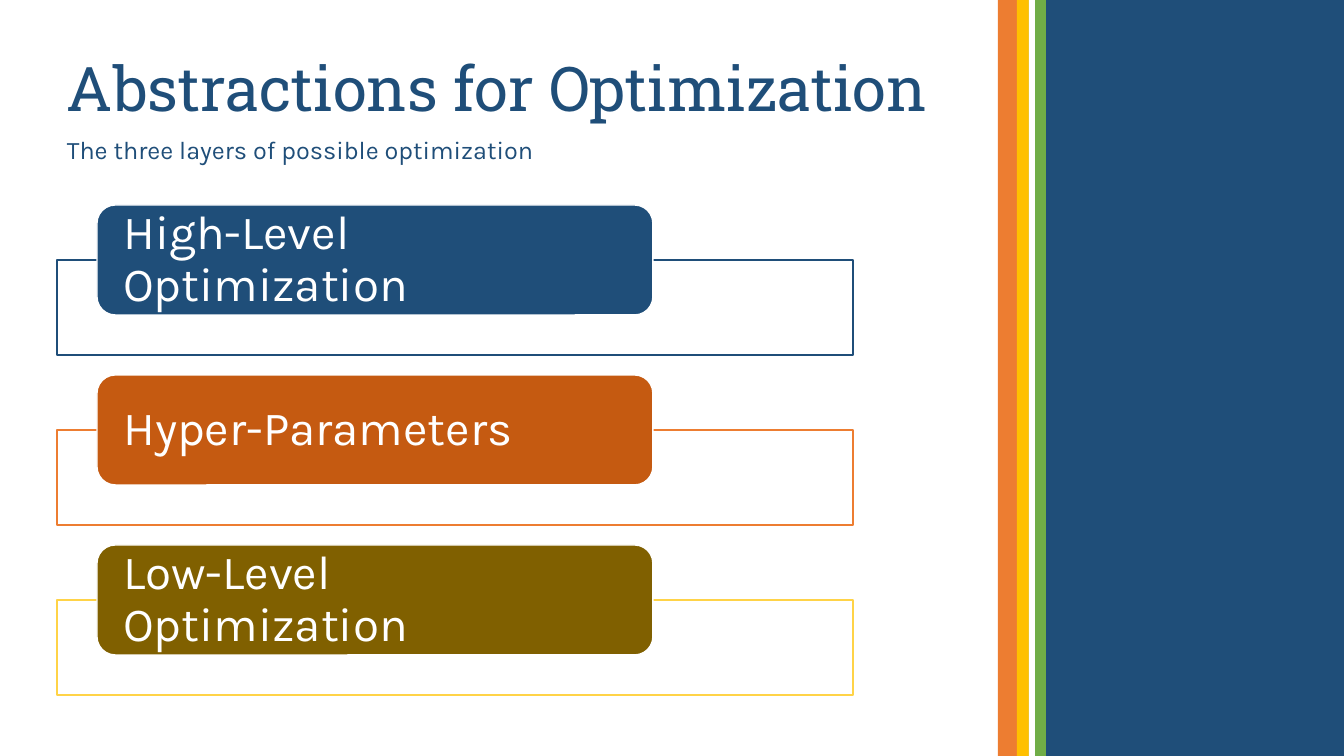
from pptx import Presentation, util as u
from pptx.dml.color import RGBColor
from pptx.enum import shapes, text

WHITE = RGBColor(0xFF, 0xFF, 0xFF)
NAVY = RGBColor(0x1F, 0x4E, 0x79)
ORANGE = RGBColor(0xED, 0x7D, 0x31)
RUST = RGBColor(0xC5, 0x5A, 0x11)
GOLD = RGBColor(0xFF, 0xC0, 0x00)
YELLOW = RGBColor(0xFF, 0xD3, 0x47)
OLIVE = RGBColor(0x80, 0x60, 0x00)
GREEN = RGBColor(0x70, 0xAD, 0x47)

WIDTH, HEIGHT = 1344, 756
SCALE = u.Inches(7.5) / HEIGHT


def write(box, words, font="Karla", size=18, color=NAVY,
          anchor=text.MSO_ANCHOR.MIDDLE, insets=(10, 0, 10, 5)):
    frame = box.text_frame
    frame.word_wrap = True
    frame.vertical_anchor = anchor
    (frame.margin_left, frame.margin_top,
     frame.margin_right, frame.margin_bottom) = [round(n * SCALE) for n in insets]
    para = frame.paragraphs[0]
    para.alignment = text.PP_ALIGN.LEFT
    para.line_spacing = 0.9
    span = para.add_run()
    span.text = words
    span.font.name = font
    span.font.size = u.Pt(size)
    span.font.color.rgb = color


def add_block(page, kind, area, fill, line=None):
    block = page.shapes.add_shape(kind, *[round(n * SCALE) for n in area])
    block.shadow.inherit = False
    block.fill.solid()
    block.fill.fore_color.rgb = fill
    if line is None:
        block.line.fill.background()
    else:
        block.line.color.rgb = line
        block.line.width = u.Pt(1)
    return block


deck = Presentation()
deck.slide_width = round(WIDTH * SCALE)
deck.slide_height = round(HEIGHT * SCALE)
page = deck.slides.add_slide(deck.slide_layouts[6])

RECT = shapes.MSO_SHAPE.RECTANGLE
ROUNDED = shapes.MSO_SHAPE.ROUNDED_RECTANGLE

for left, width, color in [(1017, 327, NAVY), (998, 19, ORANGE), (1017, 13, GOLD),
                           (1029, 17, GREEN), (1029, 6, WHITE)]:
    add_block(page, RECT, (left, 0, width, HEIGHT), color)

title = page.shapes.add_textbox(*[round(n * SCALE) for n in (57, 12, 902, 118)])
write(title, "Abstractions for Optimization", font="Roboto Slab", size=44,
      anchor=text.MSO_ANCHOR.BOTTOM, insets=(10, 5, 10, 5))
subtitle = page.shapes.add_textbox(*[round(n * SCALE) for n in (57, 133, 901, 42)])
write(subtitle, "The three layers of possible optimization")

layers = [
    ("High-Level Optimization", NAVY, NAVY),
    ("Hyper-Parameters", RUST, ORANGE),
    ("Low-Level Optimization", OLIVE, YELLOW),
]
for index, (name, fill, outline) in enumerate(layers):
    top = 205 + 170 * index
    add_block(page, RECT, (57, top + 55, 796, 95), WHITE, outline)
    label = add_block(page, ROUNDED, (97, top, 556, 110), fill, WHITE)
    write(label, name, size=34, color=WHITE, insets=(21, 0, 21, 0))

deck.save("out.pptx")
